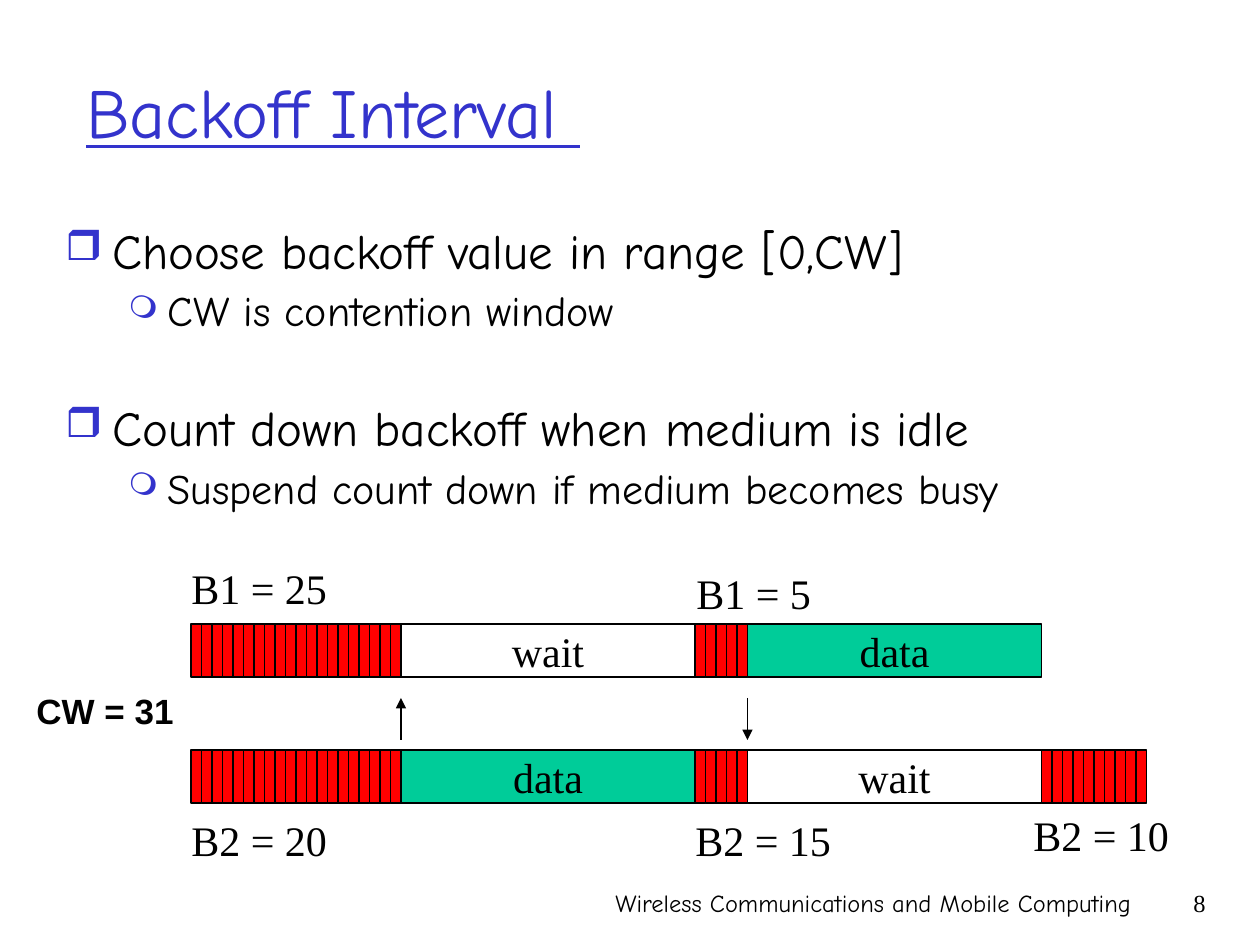
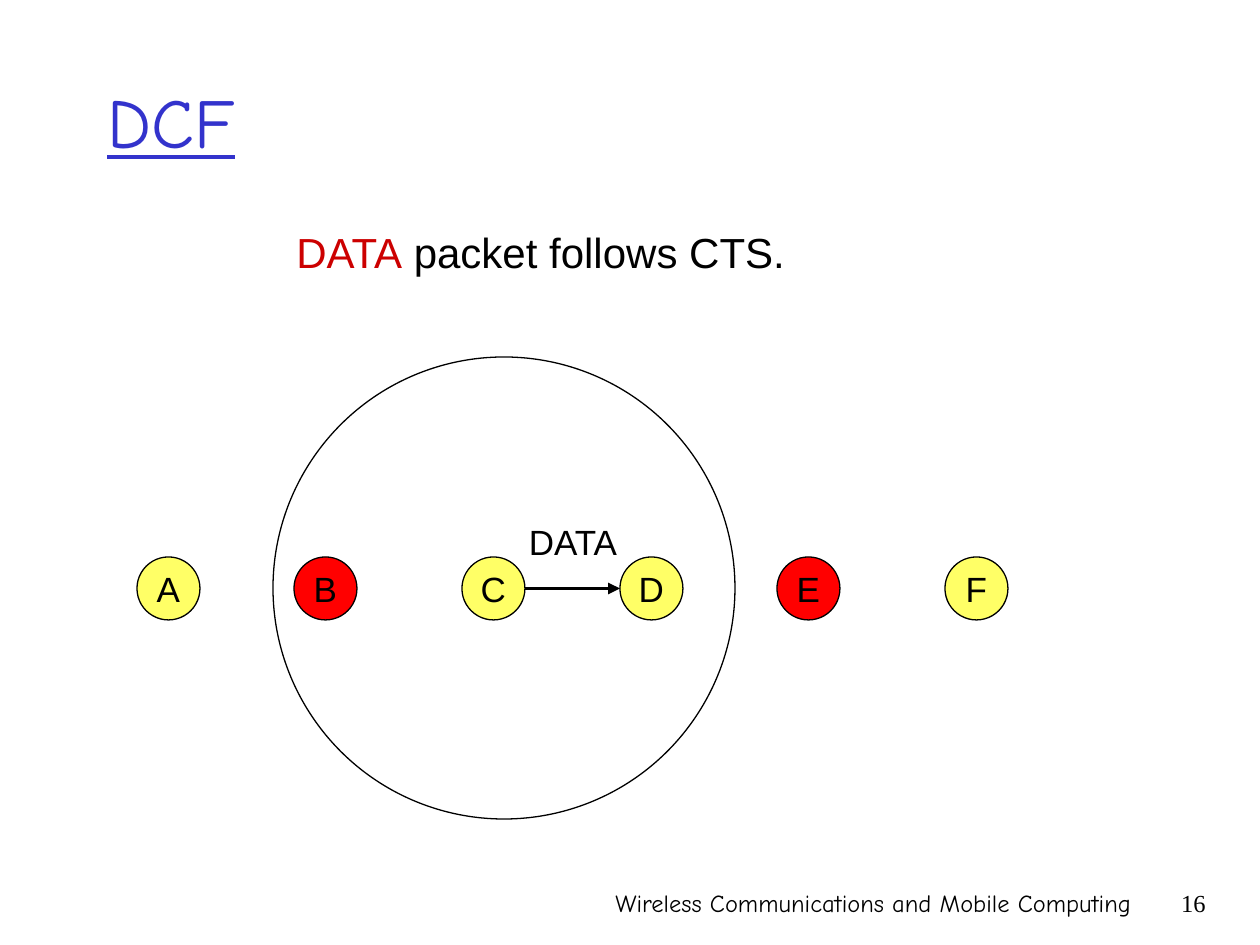
from pptx import Presentation
from pptx.dml.color import RGBColor
from pptx.enum.shapes import MSO_CONNECTOR, MSO_SHAPE
from pptx.enum.text import MSO_ANCHOR, PP_ALIGN
from pptx.oxml.ns import qn
from pptx.util import Emu, Pt
from lxml import etree

RECTANGLE, OVAL = MSO_SHAPE.RECTANGLE, MSO_SHAPE.OVAL
STRAIGHT = MSO_CONNECTOR.STRAIGHT
TOP, MIDDLE = MSO_ANCHOR.TOP, MSO_ANCHOR.MIDDLE
LEFT, CENTER, RIGHT = PP_ALIGN.LEFT, PP_ALIGN.CENTER, PP_ALIGN.RIGHT

BLACK = RGBColor(0x00, 0x00, 0x00)
BLUE = RGBColor(0x33, 0x33, 0xCC)
RED = RGBColor(0xFF, 0x00, 0x00)
DARK_RED = RGBColor(0xCC, 0x00, 0x00)
GREEN = RGBColor(0x00, 0xCC, 0x99)
YELLOW = RGBColor(0xFF, 0xFF, 0x66)

COMIC, TIMES, ARIAL = "Comic Neue", "Times New Roman", "Arial"
THIN, THICK = 0.74, 2.24
EMU_PER_PIXEL = 914400 / 126
SLIDE_WIDTH, SLIDE_HEIGHT = 1260, 945
FOOTER = "Wireless Communications and Mobile Computing"

# Backoff timeline: every length is a number of slots
SLOT = 10.5
TIMELINE_LEFT = 191
BAR_HEIGHT = 53
STATION_1_TOP, STATION_2_TOP = 624, 750

# Level of a bullet: indent, hanging (pixels), size, space before, mark, mark size %
BULLET_STYLES = [
    (47, 47, 28, 7, "\u2752", 85),
    (102, 39, 24, 6, "\u274d", 75),
]


def px(length):
    return Emu(round(length * EMU_PER_PIXEL))


# ---- Text ----

def add_run(paragraph, text, font, size, color=BLACK, bold=False, underline=False):
    run = paragraph.add_run()
    run.text = text
    run.font.name = font
    run.font.size = Pt(size)
    run.font.color.rgb = color
    run.font.bold = bold
    run.font.underline = underline


def add_text_box(slide, left, top, width, height, anchor=TOP):
    """Return the frame of a new text box."""
    box = slide.shapes.add_textbox(px(left), px(top), px(width), px(height))
    frame = box.text_frame
    frame.word_wrap = True
    frame.vertical_anchor = anchor
    return frame


def add_label(slide, left, top, width, height, text, font, size,
              align=LEFT, anchor=TOP, **style):
    frame = add_text_box(slide, left, top, width, height, anchor)
    paragraph = frame.paragraphs[0]
    paragraph.alignment = align
    add_run(paragraph, text, font, size, **style)


def set_bullet(paragraph, indent, hanging, mark, percent):
    properties = paragraph._p.get_or_add_pPr()
    properties.set("marL", str(px(indent)))
    properties.set("indent", str(-px(hanging)))
    color = etree.SubElement(properties, qn("a:buClr"))
    etree.SubElement(color, qn("a:srgbClr"), val=str(BLUE))
    etree.SubElement(properties, qn("a:buSzPct"), val=str(percent * 1000))
    etree.SubElement(properties, qn("a:buChar"), char=mark)


def add_bullets(slide, left, top, width, height, items):
    """Each item is its level, its text and extra space before it in points."""
    frame = add_text_box(slide, left, top, width, height)
    for index, (level, text, extra) in enumerate(items):
        indent, hanging, size, before, mark, percent = BULLET_STYLES[level]
        paragraph = frame.add_paragraph() if index else frame.paragraphs[0]
        paragraph.level = level
        paragraph.line_spacing = 0.9
        paragraph.space_before = Pt(before + extra)
        set_bullet(paragraph, indent, hanging, mark, percent)
        add_run(paragraph, text, COMIC, size)


# ---- Shapes and arrows ----

def add_shape(slide, kind, left, top, width, height, fill=None,
              text="", font=TIMES, size=24):
    shape = slide.shapes.add_shape(kind, px(left), px(top), px(width), px(height))
    shape.shadow.inherit = False
    if fill is None:
        shape.fill.background()
    else:
        shape.fill.solid()
        shape.fill.fore_color.rgb = fill
    shape.line.color.rgb = BLACK
    shape.line.width = Pt(THIN)
    if text:
        frame = shape.text_frame
        frame.word_wrap = False
        frame.vertical_anchor = MIDDLE
        paragraph = frame.paragraphs[0]
        paragraph.alignment = CENTER
        add_run(paragraph, text, font, size)


def add_arrow(slide, x1, y1, x2, y2, weight=THIN):
    arrow = slide.shapes.add_connector(STRAIGHT, px(x1), px(y1), px(x2), px(y2))
    arrow.line.color.rgb = BLACK
    arrow.line.width = Pt(weight)
    etree.SubElement(arrow.line._ln, qn("a:tailEnd"), type="triangle")
    etree.SubElement(arrow._element.spPr, qn("a:effectLst"))


def add_timeline(slide, top, segments):
    """Draw (kind, slots) segments; a countdown shows each of its slots."""
    left = TIMELINE_LEFT
    for kind, slots in segments:
        width = slots * SLOT
        if kind == "countdown":
            for index in range(slots):
                add_shape(slide, RECTANGLE, left + index * SLOT, top,
                          SLOT, BAR_HEIGHT, RED)
        else:
            fill = GREEN if kind == "data" else None
            add_shape(slide, RECTANGLE, left, top, width, BAR_HEIGHT, fill, kind)
        left += width


# ---- Slides ----

def new_slide(presentation, title, title_left, title_top, number):
    """Add a slide with the shared title style and footer."""
    slide = presentation.slides.add_slide(presentation.slide_layouts[6])
    add_label(slide, 486, 882, 658, 63, FOOTER, COMIC, 14, align=RIGHT)
    add_label(slide, 1125, 882, 93, 63, number, TIMES, 14, align=RIGHT)
    add_label(slide, title_left, title_top, 1071, 158, title, COMIC, 40,
              anchor=MIDDLE, color=BLUE, underline=True)
    return slide


def build_backoff_slide(presentation):
    slide = new_slide(presentation, "Backoff Interval ", 74, 31, "8")
    add_bullets(slide, 53, 221, 1155, 336, [
        (0, "Choose backoff value in range [0,CW]", 0),
        (1, "CW is contention window", 0),
        (0, "Count down backoff when medium is idle", 32),
        (1, "Suspend count down if medium becomes busy", 0),
    ])

    # The two stations
    add_timeline(slide, STATION_1_TOP, [
        ("countdown", 20), ("wait", 28), ("countdown", 5), ("data", 28)])
    add_timeline(slide, STATION_2_TOP, [
        ("countdown", 20), ("data", 28), ("countdown", 5), ("wait", 28),
        ("countdown", 10)])

    # Counter values, in boxes with room to stay on one line
    for text, left, top in [
        ("B1 = 25", 179, 556),
        ("B1 = 5", 684, 561),
        ("B2 = 20", 179, 808),
        ("B2 = 15", 683, 808),
        ("B2 = 10", 1021, 803),
    ]:
        add_label(slide, left, top, 190, 63, text, TIMES, 24)
    add_label(slide, 21, 683, 168, 55, "CW = 31", ARIAL, 20,
              align=CENTER, anchor=MIDDLE, bold=True)

    # Which station's countdown ends first
    first_end = TIMELINE_LEFT + 20 * SLOT
    second_end = first_end + 33 * SLOT
    add_arrow(slide, first_end, 740, first_end, 698)
    add_arrow(slide, second_end, 698, second_end, 740)


def build_dcf_slide(presentation):
    slide = new_slide(presentation, "DCF", 95, 41, "16")

    # Statement
    frame = add_text_box(slide, 284, 220, 662, 63)
    paragraph = frame.paragraphs[0]
    paragraph.space_before = Pt(6)
    add_run(paragraph, "DATA", ARIAL, 24, DARK_RED)
    add_run(paragraph, " packet follows CTS. ", ARIAL, 24)

    # Stations
    node_size, node_top = 63, 557
    node_lefts = {"A": 137, "B": 294, "C": 462, "D": 620, "E": 777, "F": 945}
    for name, left in node_lefts.items():
        fill = RED if name in "BE" else YELLOW
        add_shape(slide, OVAL, left, node_top, node_size, node_size,
                  fill, name, ARIAL, 20)

    # Transmission from C to D, and the range of C
    middle = node_top + node_size / 2
    add_arrow(slide, node_lefts["C"] + node_size, middle,
              node_lefts["D"], middle, THICK)
    add_shape(slide, OVAL, 273, 357, 462, 462)
    add_label(slide, 503, 514, 140, 55, "DATA", ARIAL, 20, align=CENTER)


def main():
    presentation = Presentation()
    presentation.slide_width = px(SLIDE_WIDTH)
    presentation.slide_height = px(SLIDE_HEIGHT)
    build_backoff_slide(presentation)
    build_dcf_slide(presentation)
    presentation.save("out.pptx")


main()
